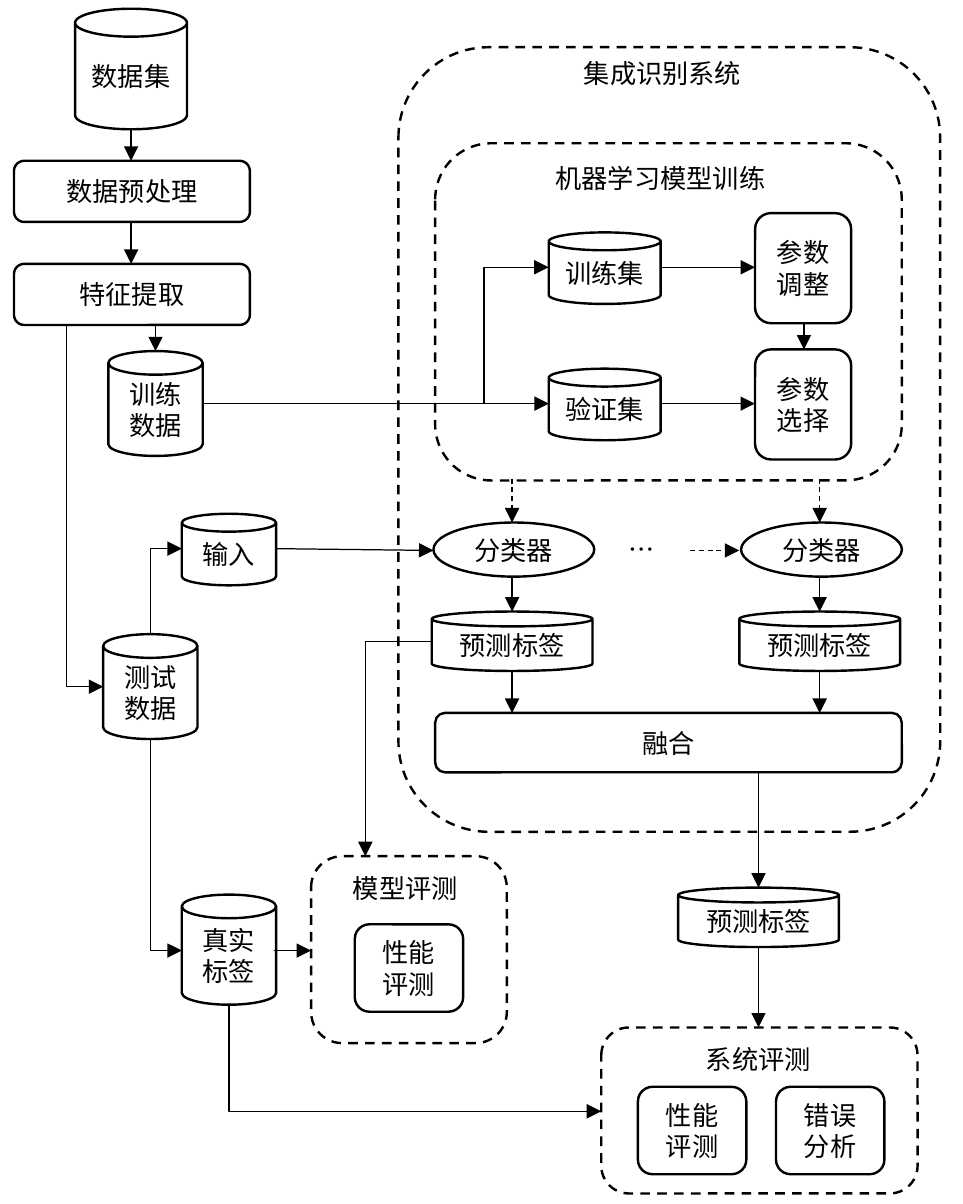
from dataclasses import dataclass

from lxml import etree
from pptx import Presentation
from pptx import util as u
from pptx.dml import color
from pptx.enum import dml, shapes, text
from pptx.oxml import ns


@dataclass(frozen=True)
class Theme:
    """Colours, type and line sizes of the diagram."""
    ink: color.RGBColor = color.RGBColor(0, 0, 0)
    font: str = "Noto Sans CJK SC"
    size: float = 10.8
    outline: float = 1
    arrow: float = 0.5


THEME = Theme()
CAN = shapes.MSO_SHAPE.CAN
BOX = shapes.MSO_SHAPE.ROUNDED_RECTANGLE
OVAL = shapes.MSO_SHAPE.OVAL


def add_run(frame, words, alignment):
    """Write one formatted run into the first paragraph of a frame."""
    paragraph = frame.paragraphs[0]
    paragraph.alignment = alignment
    run = paragraph.add_run()
    run.text = words
    run.font.size = u.Pt(THEME.size)
    run.font.name = THEME.font
    run.font.color.rgb = THEME.ink
    east_asian = etree.SubElement(run.font._element, ns.qn("a:ea"))
    east_asian.set("typeface", THEME.font)


def style_line(line, width, dashed):
    """Give an outline or arrow its ink, width and dash."""
    line.color.rgb = THEME.ink
    line.width = u.Pt(width)
    if dashed:
        line.dash_style = dml.MSO_LINE.DASH


def set_caption(shape, words, box):
    """Place a single-line heading in a text box or title."""
    shape.left, shape.top, shape.width, shape.height = map(u.Inches, box)
    frame = shape.text_frame
    frame.word_wrap = False
    frame.auto_size = text.MSO_AUTO_SIZE.NONE
    frame.vertical_anchor = text.MSO_ANCHOR.TOP
    frame.margin_left = frame.margin_right = u.Inches(0.1)
    frame.margin_top = frame.margin_bottom = u.Inches(0.05)
    add_run(frame, words, text.PP_ALIGN.LEFT)


class Region:
    """A part of the diagram whose contents are measured from its corner."""

    def __init__(self, container, left, top):
        """Remember the shape collection and the corner."""
        self.container, self.left, self.top = container, left, top

    def place(self, left, top, *size):
        """Turn a local position into one on the slide."""
        return (self.left + left, self.top + top, *size)

    def node(self, kind, box, words="", dashed=False):
        """Draw an unfilled outlined shape with centred words."""
        shape = self.container.add_shape(kind, *map(u.Inches, self.place(*box)))
        shape.shadow.inherit = False
        shape.fill.background()
        style_line(shape.line, THEME.outline, dashed)
        if words:
            frame = shape.text_frame
            frame.word_wrap = True
            frame.vertical_anchor = text.MSO_ANCHOR.MIDDLE
            frame.margin_left = frame.margin_right = u.Inches(0.08)
            frame.margin_top = frame.margin_bottom = u.Inches(0.05)
            add_run(frame, words, text.PP_ALIGN.CENTER)

    def caption(self, words, box):
        """Draw a heading in a text box."""
        place = self.place(*box)
        set_caption(self.container.add_textbox(*map(u.Inches, place)), words, place)

    def connect(self, kind, start, end, dashed=False):
        """Draw a connector with an arrowhead at its end."""
        points = self.place(*start) + self.place(*end)
        connector = self.container.add_connector(kind, *map(u.Inches, points))
        style_line(connector.line, THEME.arrow, dashed)
        properties = connector._element.spPr
        outline = properties.find(ns.qn("a:ln"))
        etree.SubElement(outline, ns.qn("a:tailEnd")).set("type", "triangle")
        etree.SubElement(properties, ns.qn("a:effectLst"))
        return properties

    def arrow(self, start, end, dashed=False):
        """Draw a straight arrow."""
        self.connect(shapes.MSO_CONNECTOR.STRAIGHT, start, end, dashed)

    def elbow(self, start, end, across_first=False):
        """Draw a one-corner arrow, going right at last or left at first."""
        centre = [(a + b) / 2 for a, b in zip(start, end)]
        half = [abs(b - a) / 2 for a, b in zip(start, end)]
        if across_first:
            turn, flips = 180, ("flipV",)
        else:
            half.reverse()
            turn, flips = (270, ("flipH",)) if end[1] > start[1] else (90, ("flipH", "flipV"))
        first = [c - h for c, h in zip(centre, half)]
        last = [c + h for c, h in zip(centre, half)]
        properties = self.connect(shapes.MSO_CONNECTOR.ELBOW, first, last)
        properties.find(ns.qn("a:prstGeom")).set("prst", "bentConnector2")
        frame = properties.find(ns.qn("a:xfrm"))
        frame.set("rot", str(turn * 60000))
        for flip in flips:
            frame.set(flip, "1")


def draw_data(container, left, top):
    """Draw the data preparation column."""
    data = Region(container, left, top)
    data.node(CAN, (0.35, 0, 0.64, 0.69), "数据集")
    for y, words in ((0.87, "数据预处理"), (1.46, "特征提取")):
        data.node(BOX, (0, y, 1.35, 0.35), words)
    for x, y, height, words in ((0.54, 1.96, 0.6, "训练数据"), (0.51, 3.58, 0.6, "测试数据"),
                                (0.96, 2.89, 0.41, "输入"), (0.96, 5.07, 0.63, "真实标签")):
        data.node(CAN, (x, y, 0.54, height), words)
    for x, y, end in ((0.67, 0.69, 0.87), (0.67, 1.22, 1.46), (0.81, 1.81, 1.96)):
        data.arrow((x, y), (x, end))
    data.elbow((0.3, 1.81), (0.51, 3.88))
    data.elbow((0.78, 3.58), (0.96, 3.09))
    data.elbow((0.78, 4.18), (0.96, 5.39))


def draw_training(container, left, top, width, height):
    """Draw the model training frame."""
    training = Region(container, left, top)
    training.node(BOX, (0, 0, width, height), dashed=True)
    training.caption("机器学习模型训练", (0.59, 0.06, 1.41, 0.28))
    for row, (dataset, parameter) in enumerate((("训练集", "参数调整"), ("验证集", "参数选择"))):
        y = 0.78 * row
        training.node(CAN, (0.65, 0.51 + y, 0.64, 0.41), dataset)
        training.node(BOX, (1.83, 0.4 + y, 0.55, 0.63), parameter)
        training.arrow((1.3, 0.71 + y), (1.83, 0.71 + y))
    training.arrow((2.11, 1.03), (2.11, 1.18))


def draw_system(slide, left, top, width, height):
    """Draw the ensemble system frame with its classifier lanes."""
    system = Region(slide.shapes, left, top)
    system.node(BOX, (0, 0, width, height), dashed=True)
    set_caption(slide.shapes.title, "集成识别系统", system.place(0.96, 0.01, 1.11, 0.28))
    draw_training(slide.shapes, *system.place(0.21, 0.55, 2.67, 1.93))
    for x in (0.19, 1.95):
        middle = x + 0.46
        system.node(OVAL, (x + 0.01, 2.72, 0.92, 0.31), "分类器")
        system.node(CAN, (x, 3.23, 0.92, 0.34), "预测标签")
        system.arrow((middle, 2.47), (middle, 2.72), dashed=True)
        for y, end in ((3.03, 3.23), (3.57, 3.81)):
            system.arrow((middle, y), (middle, end))
    system.caption("…", (1.22, 2.73, 0.35, 0.28))
    system.arrow((1.67, 2.88), (1.95, 2.88), dashed=True)
    system.node(BOX, (0.21, 3.81, 2.67, 0.34), "融合")


def draw_evaluation(slide, box, words, caption_at, steps, steps_at):
    """Draw an evaluation frame as a group of evenly spaced steps."""
    left, top, width, height = box
    evaluation = Region(slide.shapes.add_group_shape().shapes, left, top)
    evaluation.node(BOX, (0, 0, width, height), dashed=True)
    evaluation.caption(words, (*caption_at, 0.81, 0.28))
    x, y = steps_at
    for index, step in enumerate(steps):
        evaluation.node(BOX, (x + 0.79 * index, y, 0.62, 0.5), step)


def draw_flows(container, left, top):
    """Draw the final labels and the arrows between regions."""
    flows = Region(container, left, top)
    flows.node(CAN, (3.88, 5.08, 0.92, 0.34), "预测标签")
    for start, end in (((4.34, 4.42), (4.34, 5.08)), ((4.34, 5.42), (4.34, 5.88)),
                       ((1.57, 5.44), (1.78, 5.44)), ((1.58, 3.14), (2.48, 3.15)),
                       ((1.16, 2.31), (3.14, 2.31))):
        flows.arrow(start, end)
    flows.elbow((2.77, 2.31), (3.14, 1.53))
    flows.elbow((1.31, 5.75), (3.44, 6.36))
    flows.elbow((2.47, 3.67), (2.09, 4.9), across_first=True)


def main():
    """Build and save the slide."""
    presentation = Presentation()
    presentation.slide_width, presentation.slide_height = u.Inches(5.51), u.Inches(6.89)
    slide = presentation.slides.add_slide(presentation.slide_layouts[5])
    draw_data(slide.shapes, 0.08, 0.05)
    draw_system(slide, 2.28, 0.27, 3.1, 4.49)
    draw_evaluation(slide, (1.78, 4.9, 1.12, 1.07), "模型评测", (0.14, 0.04),
                    ["性能评测"], (0.25, 0.39))
    draw_evaluation(slide, (3.44, 5.88, 1.81, 0.95), "系统评测", (0.5, 0.04),
                    ["性能评测", "错误分析"], (0.21, 0.34))
    draw_flows(slide.shapes, 0, 0)
    presentation.save("out.pptx")


main()
